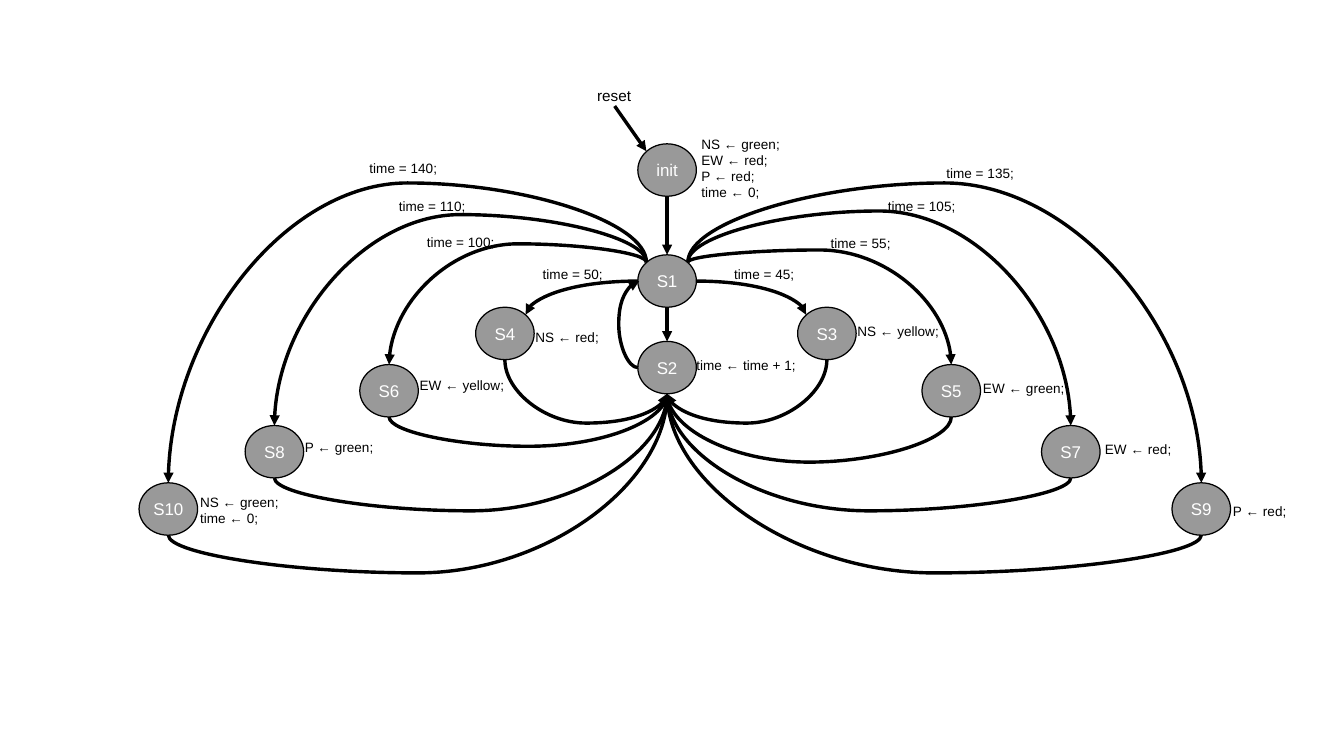
from dataclasses import dataclass

from lxml.etree import SubElement
from pptx import Presentation
from pptx.dml.color import RGBColor
from pptx.enum.shapes import MSO_CONNECTOR, MSO_SHAPE
from pptx.enum.text import MSO_ANCHOR, MSO_AUTO_SIZE, PP_ALIGN
from pptx.oxml.ns import qn
from pptx.util import Inches, Pt

STATES = {
    "init": (5.47, 1.18), "S1": (5.47, 2.09), "S2": (5.47, 2.8),
    "S3": (6.78, 2.52), "S4": (4.14, 2.52),
    "S5": (7.8, 2.99), "S6": (3.19, 2.99),
    "S7": (8.78, 3.49), "S8": (2.25, 3.49),
    "S9": (9.85, 3.96), "S10": (1.38, 3.96),
}
LABELS = [
    ("NS ← green;\nEW ← red;\nP ← red;\ntime ← 0;", 5.75, 1.1, 0.98, 0.56),
    ("time ← time + 1;", 5.71, 2.92, 0.86, 0.15),
    ("NS ← yellow;", 7.03, 2.59, 0.84, 0.25),
    ("NS ← red;", 4.39, 2.64, 0.6, 0.25),
    ("EW ← green;", 8.06, 3.06, 0.75, 0.25),
    ("EW ← yellow;", 3.44, 3.03, 0.76, 0.25),
    ("EW ← red;", 9.06, 3.58, 0.6, 0.2),
    ("P ← green;", 2.5, 3.54, 0.73, 0.25),
    ("P ← red;", 10.11, 4.09, 0.52, 0.21),
    ("NS ← green;\ntime ← 0;", 1.64, 4.06, 0.72, 0.25),
    ("time = 45;", 6.02, 2.17, 0.55, 0.15),
    ("time = 50;", 4.45, 2.17, 0.55, 0.15),
    ("time = 55;", 6.81, 1.89, 0.55, 0.2),
    ("time = 100;", 3.5, 1.88, 0.63, 0.21),
    ("time = 105;", 7.28, 1.57, 0.63, 0.24),
    ("time = 110;", 3.27, 1.57, 0.63, 0.24),
    ("time = 135;", 7.76, 1.3, 0.63, 0.24),
    ("time = 140;", 3.03, 1.26, 0.63, 0.24),
]
RESET = ("reset", 4.72, 0.71, 0.63, 0.14)
RESET_START = (5.04, 0.87)
DEPARTURES = {"S5": 2.05, "S6": 2.0, "S7": 1.73, "S8": 1.76, "S9": 1.5, "S10": 1.5}
RETURNS = {"S3": 3.47, "S4": 3.47, "S5": 3.79, "S6": 3.66,
           "S7": 4.19, "S8": 4.19, "S9": 4.7, "S10": 4.7}
LOOP_X = 5.07
STATE_WIDTH, STATE_HEIGHT = 0.48, 0.43
PORTS = {
    "top": (0, 0), "bottom": (0, STATE_HEIGHT),
    "left": (-STATE_WIDTH / 2, STATE_HEIGHT / 2),
    "right": (STATE_WIDTH / 2, STATE_HEIGHT / 2),
    "upper left": (-0.17, 0.06), "upper right": (0.17, 0.06),
}


@dataclass(frozen=True)
class Theme:
    font: str = "Arial"
    state_fill: RGBColor = RGBColor(0x99, 0x99, 0x99)
    state_text: RGBColor = RGBColor(0xFF, 0xFF, 0xFF)
    ink: RGBColor = RGBColor(0, 0, 0)
    state_size: int = 10
    reset_size: int = 9
    label_size: int = 8
    line_width: int = 0


THEME = Theme()


def port(state, side):
    return tuple(base + shift for base, shift in zip(STATES[state], PORTS[side]))


def write(box, text, size, color, align):
    para = box.text_frame.paragraphs[0]
    para.text = text
    para.alignment = align
    para.font.name = THEME.font
    para.font.size = Pt(size)
    para.font.color.rgb = color


def place_text(box, text, left, top, width, height, size, align):
    box.left, box.top = Inches(left), Inches(top)
    box.width, box.height = Inches(width), Inches(height)
    frame = box.text_frame
    frame.margin_left = frame.margin_top = frame.margin_right = frame.margin_bottom = 0
    frame.word_wrap = True
    frame.auto_size = MSO_AUTO_SIZE.NONE
    frame.vertical_anchor = MSO_ANCHOR.MIDDLE
    write(box, text, size, THEME.ink, align)


def add_state(page, name):
    center, top = STATES[name]
    state = page.shapes.add_shape(
        MSO_SHAPE.OVAL, Inches(center - STATE_WIDTH / 2), Inches(top),
        Inches(STATE_WIDTH), Inches(STATE_HEIGHT))
    state.shadow.inherit = False
    state.fill.solid()
    state.fill.fore_color.rgb = THEME.state_fill
    state.line.color.rgb = THEME.ink
    state.line.width = Pt(THEME.line_width)
    state.text_frame.word_wrap = False
    state.text_frame.vertical_anchor = MSO_ANCHOR.MIDDLE
    write(state, name, THEME.state_size, THEME.state_text, PP_ALIGN.CENTER)


def add_arrow(page, kind, start, end):
    arrow = page.shapes.add_connector(kind, *(Inches(v) for v in (*start, *end)))
    arrow.line.color.rgb = THEME.ink
    arrow.line.width = Pt(THEME.line_width)
    properties = arrow._element.spPr
    SubElement(properties.find(qn("a:ln")), qn("a:tailEnd"), type="triangle")
    SubElement(properties, qn("a:effectLst"))
    return arrow


def add_curve(page, start, end, rotation, flip_h, flip_v, bend=None):
    width, height = (abs(b - a) for a, b in zip(start, end))
    if rotation in (90, 270):
        width, height = height, width
    center_x, center_y = ((a + b) / 2 for a, b in zip(start, end))
    left, top = center_x - width / 2, center_y - height / 2
    curve = add_arrow(page, MSO_CONNECTOR.CURVE, (left, top), (left + width, top + height))
    curve.rotation = rotation
    properties = curve._element.spPr
    frame = properties.find(qn("a:xfrm"))
    for name, flipped in (("flipH", flip_h), ("flipV", flip_v)):
        frame.set(name, str(int(flipped)))
    geometry = properties.find(qn("a:prstGeom"))
    if bend is None:
        geometry.set("prst", "curvedConnector2")
    else:
        SubElement(geometry.find(qn("a:avLst")), qn("a:gd"),
                   name="adj1", fmla=f"val {round(bend * 100000)}")


def add_arc(page, start, end, level):
    rightward, upward = end[0] > start[0], end[1] < start[1]
    rotation = 270 if rightward != upward else 90
    bend = (level - start[1]) / (end[1] - start[1])
    add_curve(page, start, end, 270 if upward and not rightward else rotation,
              rightward, upward, bend)


def build():
    deck = Presentation()
    deck.slide_width, deck.slide_height = Inches(11.02), Inches(6.2)
    page = deck.slides.add_slide(deck.slide_layouts[5])
    place_text(page.shapes.title, *RESET, THEME.reset_size, PP_ALIGN.CENTER)

    for name in STATES:
        add_state(page, name)

    for start, end in (
        (RESET_START, port("init", "upper left")),
        (port("init", "bottom"), port("S1", "top")),
        (port("S1", "bottom"), port("S2", "top")),
    ):
        add_arrow(page, MSO_CONNECTOR.STRAIGHT, start, end)

    add_curve(page, port("S1", "right"), port("S3", "upper left"), 0, False, False)
    add_curve(page, port("S1", "left"), port("S4", "upper right"), 180, False, True)
    loop_start, (loop_end_x, loop_end_y) = port("S2", "left"), port("S1", "left")
    loop_end = (loop_end_x + 0.01, loop_end_y)
    loop_bend = (LOOP_X - loop_start[0]) / (loop_end[0] - loop_start[0])
    add_curve(page, loop_start, loop_end, 180, True, False, loop_bend)

    for name, level in DEPARTURES.items():
        side = "upper right" if STATES[name][0] > STATES["S1"][0] else "upper left"
        add_arc(page, port("S1", side), port(name, "top"), level)
    for name, level in RETURNS.items():
        add_arc(page, port(name, "bottom"), port("S2", "bottom"), level)

    for label in LABELS:
        box = page.shapes.add_textbox(0, 0, 0, 0)
        place_text(box, *label, THEME.label_size, PP_ALIGN.LEFT)
    deck.save("out.pptx")


if __name__ == "__main__":
    build()
